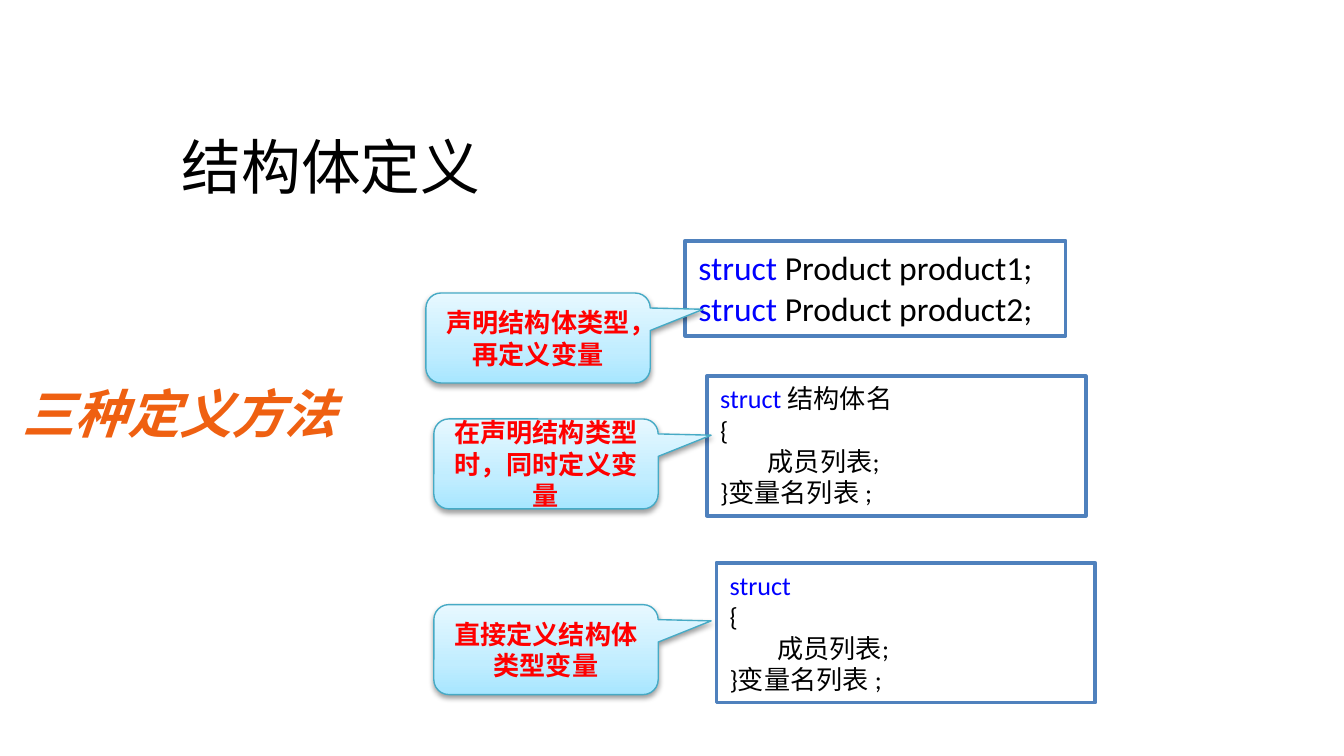
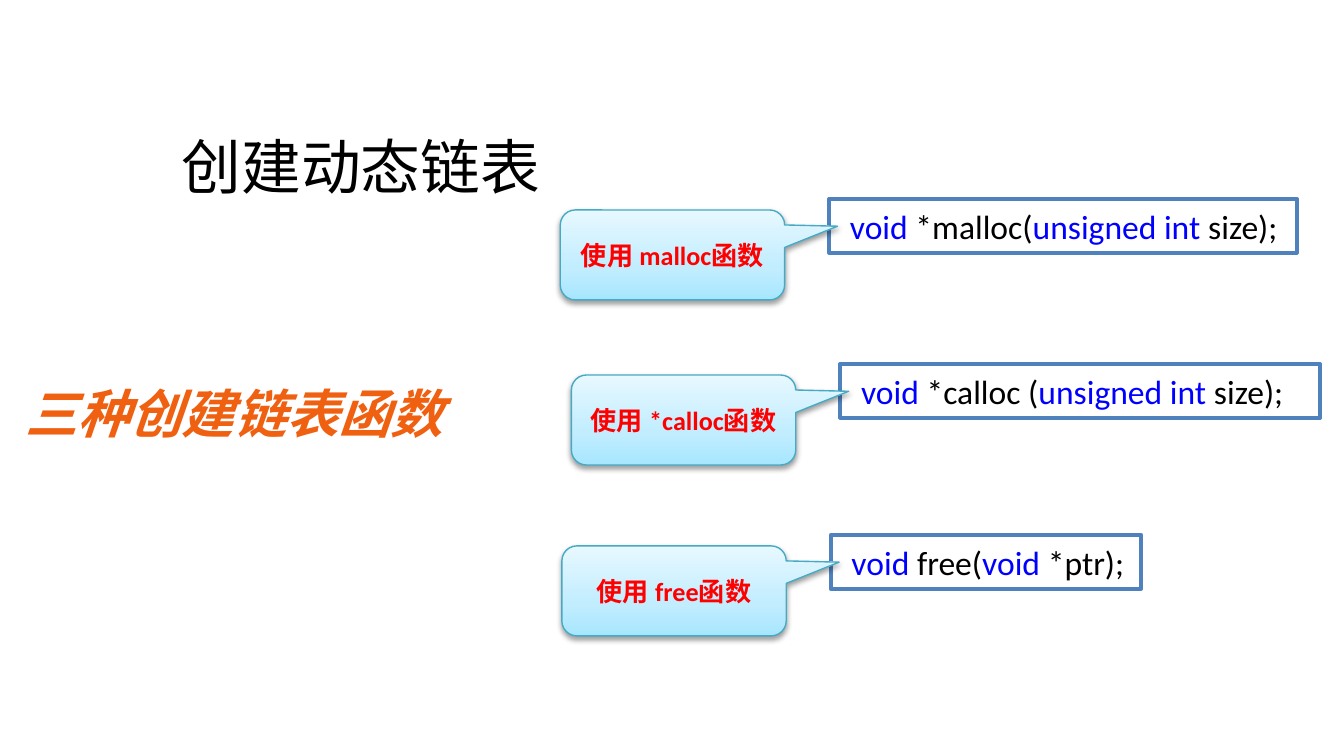
from dataclasses import dataclass

from lxml.etree import SubElement
from pptx import Presentation
from pptx.dml.color import RGBColor
from pptx.enum.shapes import MSO_SHAPE as Preset
from pptx.enum.text import MSO_ANCHOR as Anchor, MSO_AUTO_SIZE as AutoSize, PP_ALIGN as Align
from pptx.oxml import parse_xml
from pptx.oxml.ns import nsdecls, qn
from pptx.util import Cm, Pt

# Shared look
LATIN, HAN = "Calibri", "Noto Sans CJK SC"
BLACK, WHITE, RED = "000000", "FFFFFF", "FF0000"
ORANGE, KEYWORD_BLUE = "EF6011", "0000FF"
CODE_BORDER, LABEL_BORDER = "4F81BD", "46AAC5"
LABEL_GRADIENT = ((0, "A7E6FF"), (35, "C1EDFF"), (100, "E7F8FF"))
LABEL_SIZE = (4.24, 1.7)
LABEL_TAIL = (0.736, -0.319, 0.167)
KEYWORDS = {"struct", "void", "unsigned int"}
MEMBER = "成员列表;"
MEMBER_INDENT = 0.9

Line = tuple[str, ...]
BODY: tuple[Line, ...] = (("{",), (MEMBER,), ("}变量名列表 ;",))


@dataclass(frozen=True)
class Method:
    """A code box and the callout that explains it; lengths in cm."""
    label: str
    label_at: tuple[float, float]
    code_box: tuple[float, float, float, float]
    code: tuple[Line, ...]
    size: int = 18


@dataclass(frozen=True)
class Topic:
    title: str
    title_font: str
    title_width: float
    headline: str
    headline_left: float
    headline_width: float
    methods: tuple[Method, ...]


def prototype(name: str, left: float, top: float, width: float, *pieces: str) -> Method:
    """A one-line function prototype with its callout at a fixed offset."""
    return Method(f"使用 {name}函数", (left - 5.08, top + 0.21),
                  (left, top, width, 1.02), (pieces,))


TOPICS = (
    Topic("结构体定义", LATIN, 15.44, "三种定义方法", 0.18, 6.53, (
        Method("声明结构体类型，再定义变量", (8.05, 5.54), (12.95, 4.55, 7.19, 1.8),
               (("struct", " Product product1;"), ("struct", " Product product2;"))),
        Method("在声明结构类型时，同时定义变量", (8.2, 7.92), (13.36, 7.11, 7.16, 2.64),
               (("struct ", "结构体名"), *BODY), 14),
        Method("直接定义结构体类型变量", (8.2, 11.43), (13.54, 10.64, 7.16, 2.64),
               (("struct",), *BODY), 14),
    )),
    Topic("创建动态链表", HAN, 8.46, "三种创建链表函数", 0.23, 8.53, (
        prototype("malloc", 15.67, 3.76, 8.84, " void ", "*malloc(", "unsigned int ", "size);"),
        prototype("*calloc", 15.88, 6.88, 9.07, " void ", "*calloc (", "unsigned int ", "size);"),
        prototype("free", 15.7, 10.11, 5.87, " void", " free(", "void ", "*ptr);"),
    )),
)


def color(value: str) -> RGBColor:
    return RGBColor.from_string(value)


def style(font, size: int, ink: str, name: str = LATIN, bold: bool = False) -> None:
    font.name, font.size, font.bold = name, Pt(size), bold
    font.color.rgb = color(ink)


def set_han_font(paragraph) -> None:
    for run in paragraph.runs:
        latin = run.font
        latin.name = paragraph.font.name
        SubElement(run._r.get_or_add_rPr(), qn("a:ea")).set("typeface", HAN)


def add_title(slide, topic: Topic) -> None:
    title = slide.shapes.title
    title.left, title.top = Cm(3.18), Cm(2.29)
    title.width, title.height = Cm(topic.title_width), Cm(1.7)
    frame = title.text_frame
    frame.text = topic.title
    frame.auto_size, frame.vertical_anchor = AutoSize.NONE, Anchor.MIDDLE
    paragraph = frame.paragraphs[0]
    paragraph.alignment = Align.LEFT
    style(paragraph.font, 32, BLACK, topic.title_font)
    set_han_font(paragraph)


def add_headline(slide, topic: Topic) -> None:
    headline = slide.shapes.add_textbox(
        Cm(topic.headline_left), Cm(7.09), Cm(topic.headline_width), Cm(1.45))
    frame = headline.text_frame
    frame.word_wrap = True
    paragraph = frame.paragraphs[0]
    paragraph.text = topic.headline
    style(paragraph.font, 28, ORANGE, HAN, bold=True)
    paragraph.font.italic = True
    set_han_font(paragraph)


def add_code(slide, method: Method) -> None:
    box = slide.shapes.add_shape(Preset.RECTANGLE, *map(Cm, method.code_box))
    box.shadow.inherit = False
    box.fill.solid()
    box.fill.fore_color.rgb = color(WHITE)
    box.line.color.rgb, box.line.width = color(CODE_BORDER), Pt(2)
    frame = box.text_frame
    frame.word_wrap, frame.vertical_anchor = True, Anchor.TOP
    for index, pieces in enumerate(method.code):
        paragraph = frame.add_paragraph() if index else frame.paragraphs[0]
        paragraph.alignment = Align.LEFT
        style(paragraph.font, method.size, BLACK)
        if pieces == (MEMBER,):
            paragraph._p.get_or_add_pPr().set("marL", str(Cm(MEMBER_INDENT)))
        for piece in pieces:
            run = paragraph.add_run()
            run.text = piece
            is_keyword = piece.strip() in KEYWORDS
            run.font.color.rgb = color(KEYWORD_BLUE if is_keyword else BLACK)
        set_han_font(paragraph)


def add_label(slide, method: Method) -> None:
    label = slide.shapes.add_shape(
        Preset.ROUNDED_RECTANGULAR_CALLOUT, *map(Cm, method.label_at + LABEL_SIZE))
    for index, value in enumerate(LABEL_TAIL):
        label.adjustments[index] = value
    label.line.color.rgb, label.line.width = color(LABEL_BORDER), Pt(0.75)

    # Three-stop gradient running upwards, and a soft shadow below
    stops = "".join(f'<a:gs pos="{position * 1000}"><a:srgbClr val="{tint}"/></a:gs>'
                    for position, tint in LABEL_GRADIENT)
    properties = label._element.spPr
    properties.find(qn("a:ln")).addprevious(parse_xml(
        f'<a:gradFill {nsdecls("a")} rotWithShape="1"><a:gsLst>{stops}</a:gsLst>'
        '<a:lin ang="16200000" scaled="0"/></a:gradFill>'))
    properties.append(parse_xml(
        f'<a:effectLst {nsdecls("a")}><a:outerShdw blurRad="{Pt(3.1)}" dist="{Pt(1.6)}" '
        f'dir="5400000" rotWithShape="0"><a:srgbClr val="{BLACK}">'
        '<a:alpha val="38000"/></a:srgbClr></a:outerShdw></a:effectLst>'))

    frame = label.text_frame
    frame.word_wrap, frame.vertical_anchor = True, Anchor.MIDDLE
    paragraph = frame.paragraphs[0]
    paragraph.text, paragraph.alignment = method.label, Align.CENTER
    style(paragraph.font, 14, RED, bold=True)
    set_han_font(paragraph)


def main() -> None:
    deck = Presentation()
    deck.slide_width, deck.slide_height = Cm(25.4), Cm(14.29)
    title_only = deck.slide_layouts[5]
    for topic in TOPICS:
        slide = deck.slides.add_slide(title_only)
        add_title(slide, topic)
        add_headline(slide, topic)
        for method in topic.methods:
            add_code(slide, method)
            add_label(slide, method)
    deck.save("out.pptx")


if __name__ == "__main__":
    main()
